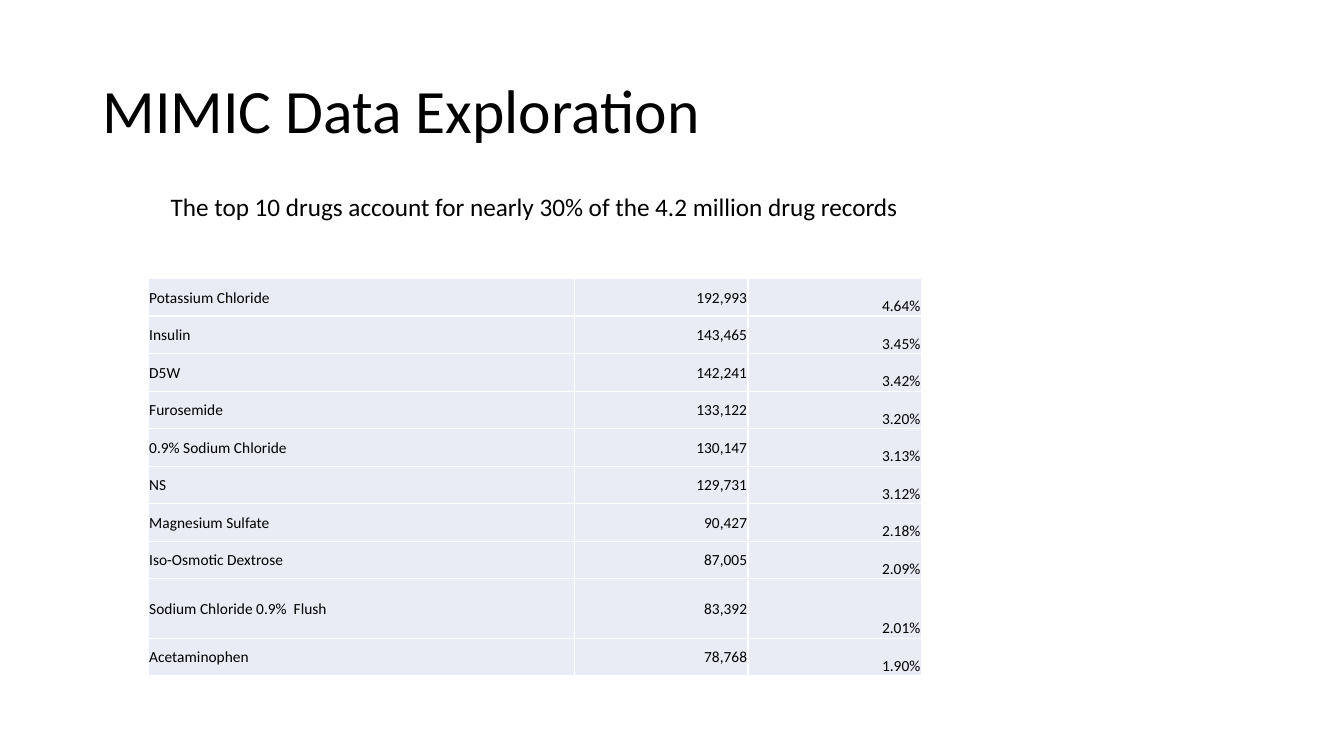
import pptx
import pptx.dml.color
import pptx.enum.text
import pptx.util

Pt = pptx.util.Pt
Align = pptx.enum.text.PP_ALIGN
Anchor = pptx.enum.text.MSO_ANCHOR
AutoSize = pptx.enum.text.MSO_AUTO_SIZE

# Content
TITLE = "MIMIC Data Exploration"
SUMMARY = "The top 10 drugs account for nearly 30% of the 4.2 million drug records"
DRUGS = [
    ("Potassium Chloride", "192,993", "4.64%"),
    ("Insulin", "143,465", "3.45%"),
    ("D5W", "142,241", "3.42%"),
    ("Furosemide", "133,122", "3.20%"),
    ("0.9% Sodium Chloride", "130,147", "3.13%"),
    ("NS", "129,731", "3.12%"),
    ("Magnesium Sulfate", "90,427", "2.18%"),
    ("Iso-Osmotic Dextrose", "87,005", "2.09%"),
    ("Sodium Chloride 0.9%  Flush", "83,392", "2.01%"),
    ("Acetaminophen", "78,768", "1.90%"),
]

# Style and layout, in points
BLACK = pptx.dml.color.RGBColor(0x00, 0x00, 0x00)
CELL_FILL = pptx.dml.color.RGBColor(0xE9, 0xEB, 0xF5)
FONT = "Calibri"
COLUMNS = [  # width, alignment, anchor
    (304.5, Align.LEFT, Anchor.MIDDLE),
    (123.8, Align.RIGHT, Anchor.MIDDLE),
    (123.8, Align.RIGHT, Anchor.BOTTOM),
]
ROW_HEIGHT, TALL_ROW_HEIGHT, TALL_ROW = 26.8, 42.5, 8
ROW_HEIGHTS = [TALL_ROW_HEIGHT if row == TALL_ROW else ROW_HEIGHT
               for row in range(len(DRUGS))]
CELL_INSET = 0.6


def place(shape, left, top, width, height):
    shape.left, shape.top = Pt(left), Pt(top)
    shape.width, shape.height = Pt(width), Pt(height)


def write(text_frame, text, size, alignment=Align.LEFT):
    text_frame.text = text
    paragraph = text_frame.paragraphs[0]
    paragraph.alignment = alignment
    font = paragraph.runs[0].font
    font.name, font.size, font.color.rgb = FONT, Pt(size), BLACK
    return paragraph


presentation = pptx.Presentation()
presentation.slide_width, presentation.slide_height = Pt(960), Pt(540)
slide = presentation.slides.add_slide(presentation.slide_layouts[5])

# Title
title = slide.shapes.title
place(title, 66, 28.75, 828, 104.4)
write(title.text_frame, TITLE, 44).line_spacing = 0.9
title.text_frame.vertical_anchor = Anchor.MIDDLE
title.text_frame.auto_size = AutoSize.NONE

# Drug table
table = slide.shapes.add_table(
    len(DRUGS), len(COLUMNS), Pt(106), Pt(199),
    Pt(sum(column[0] for column in COLUMNS)), Pt(sum(ROW_HEIGHTS))).table
table.first_row = table.horz_banding = False
for table_row, height in zip(table.rows, ROW_HEIGHTS):
    table_row.height = Pt(height)
for column_index, (width, alignment, anchor) in enumerate(COLUMNS):
    table.columns[column_index].width = Pt(width)
    for row_index, drug in enumerate(DRUGS):
        cell = table.cell(row_index, column_index)
        cell.margin_left = cell.margin_right = cell.margin_top = Pt(CELL_INSET)
        cell.margin_bottom = 0
        cell.vertical_anchor = anchor
        cell.fill.solid()
        cell.fill.fore_color.rgb = CELL_FILL
        write(cell.text_frame, drug[column_index], 11, alignment)

# Summary line
summary = slide.shapes.add_textbox(Pt(114.8), Pt(133.4), Pt(543), Pt(29))
summary.text_frame.word_wrap = True
summary.text_frame.auto_size = AutoSize.SHAPE_TO_FIT_TEXT
write(summary.text_frame, SUMMARY, 18)

presentation.save("out.pptx")
